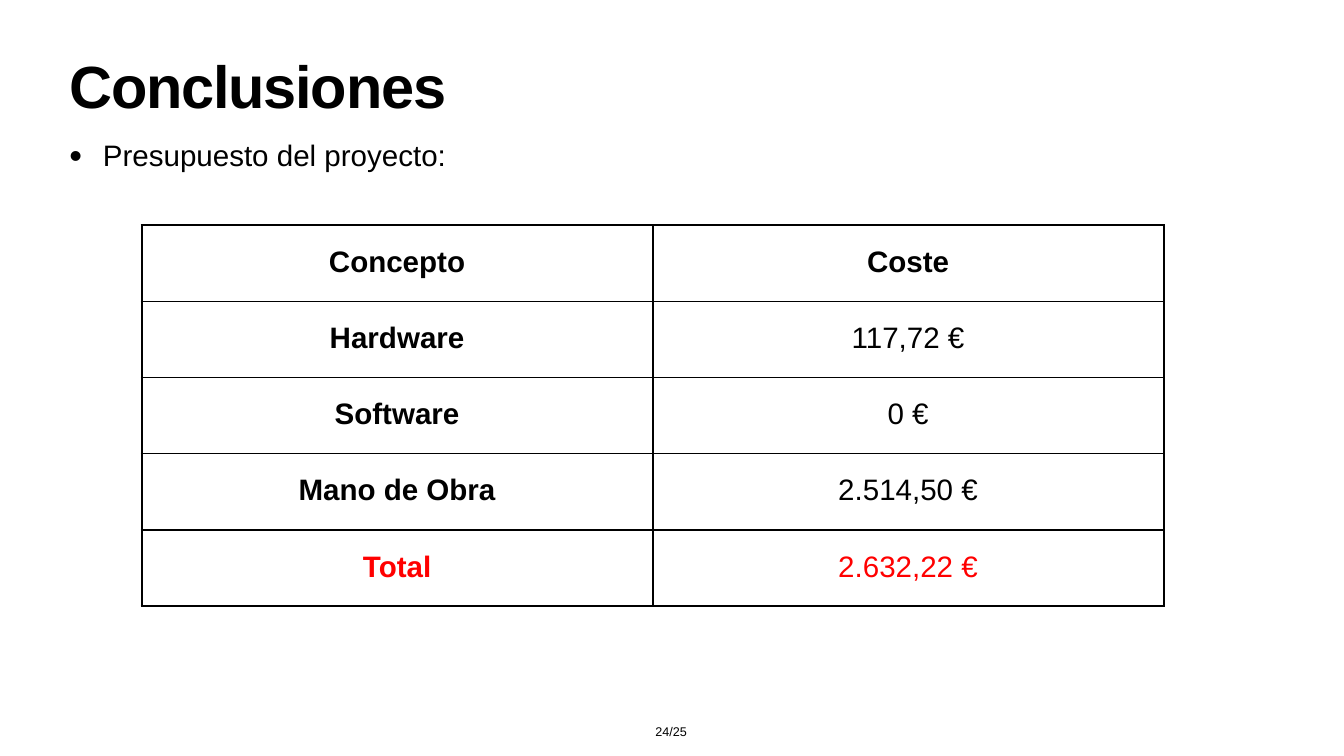
from lxml import etree
from pptx import Presentation, util as u
from pptx.dml.color import RGBColor
from pptx.enum import text
from pptx.oxml.ns import qn

TITLE = "Conclusiones"
BULLET = "Presupuesto del proyecto:"
PAGE = "24/25"
BUDGET = [
    ("Concepto", "Coste"),
    ("Hardware", "117,72 €"),
    ("Software", "0 €"),
    ("Mano de Obra", "2.514,50 €"),
    ("Total", "2.632,22 €"),
]
THEME = {
    "font": "Arial",
    "ink": "000000",
    "total": "FF0000",
    "title": 85,
    "body": 42.2,
    "page": 18,
    "thick": 3,
    "thin": 1.5,
}
SLIDE_SIZE = (1920.24, 1080)
TITLE_BOX = (95, 85, 1730, 113)
BODY_BOX = (95, 198, 1730, 832.3)
PAGE_BOX = (932.4, 1029.6, 53.3, 30.2)
TABLE_BOX = (202.3, 321.8, 1460.2, 544.3)
INSET = 4
INDENT = 48


def place(shape, box):
    shape.left, shape.top, shape.width, shape.height = map(u.Pt, box)


def set_frame(frame, anchor, wrap=True):
    frame.margin_left = frame.margin_right = u.Pt(INSET)
    frame.margin_top = frame.margin_bottom = u.Pt(INSET)
    frame.vertical_anchor = anchor
    frame.word_wrap = wrap
    frame.auto_size = text.MSO_AUTO_SIZE.NONE


def style(paragraph, size, align, spacing=1.0, bold=False, color="ink"):
    paragraph.alignment = align
    paragraph.line_spacing = spacing
    paragraph.space_before = u.Pt(0)
    for run in paragraph.runs:
        run.font.name = THEME["font"]
        run.font.size = u.Pt(THEME[size])
        run.font.bold = bold
        run.font.color.rgb = RGBColor.from_string(THEME[color])


def add_bullet(paragraph):
    properties = paragraph._p.get_or_add_pPr()
    properties.set("marL", str(u.Pt(INDENT)))
    properties.set("indent", str(-u.Pt(INDENT)))
    etree.SubElement(properties, qn("a:buSzPct"), val="123000")
    etree.SubElement(properties, qn("a:buChar"), char="•")


def set_borders(cell, widths):
    properties = cell._tc.get_or_add_tcPr()
    for position, (side, width) in enumerate(widths.items()):
        line = etree.Element(qn(f"a:ln{side}"), w=str(u.Pt(width)))
        fill = etree.SubElement(line, qn("a:solidFill"))
        etree.SubElement(fill, qn("a:srgbClr"), val=THEME["ink"])
        properties.insert(position, line)


def add_budget(slide):
    row_count, column_count = len(BUDGET), len(BUDGET[0])
    frame = slide.shapes.add_table(row_count, column_count, *map(u.Pt, TABLE_BOX))
    table = frame.table
    table.horz_banding = False
    thick, thin = THEME["thick"], THEME["thin"]
    rules = [thick, thick] + [thin] * (row_count - 3) + [thick, thick]
    for row, values in enumerate(BUDGET):
        for column, value in enumerate(values):
            cell = table.cell(row, column)
            cell.text_frame.text = value
            cell.vertical_anchor = text.MSO_ANCHOR.MIDDLE
            cell.fill.background()
            style(
                cell.text_frame.paragraphs[0], "body", text.PP_ALIGN.CENTER, 0.9,
                bold=row == 0 or column == 0,
                color="total" if row == row_count - 1 else "ink",
            )
            set_borders(cell, {"L": thick, "R": thick, "T": rules[row], "B": rules[row + 1]})


def main():
    presentation = Presentation()
    presentation.slide_width, presentation.slide_height = map(u.Pt, SLIDE_SIZE)
    slide = presentation.slides.add_slide(presentation.slide_layouts[1])

    title = slide.shapes.title
    place(title, TITLE_BOX)
    title.text_frame.text = TITLE
    set_frame(title.text_frame, text.MSO_ANCHOR.TOP)
    heading = title.text_frame.paragraphs[0]
    style(heading, "title", text.PP_ALIGN.LEFT, 0.8, bold=True)
    heading.runs[0].font._element.set("spc", "-170")

    body = slide.placeholders[1]
    place(body, BODY_BOX)
    body.text_frame.text = BULLET
    set_frame(body.text_frame, text.MSO_ANCHOR.TOP)
    item = body.text_frame.paragraphs[0]
    style(item, "body", text.PP_ALIGN.LEFT, 0.9)
    add_bullet(item)

    page = slide.shapes.add_textbox(*map(u.Pt, PAGE_BOX))
    page.text_frame.text = PAGE
    set_frame(page.text_frame, text.MSO_ANCHOR.BOTTOM, wrap=False)
    style(page.text_frame.paragraphs[0], "page", text.PP_ALIGN.CENTER)

    add_budget(slide)
    presentation.save("out.pptx")


if __name__ == "__main__":
    main()
